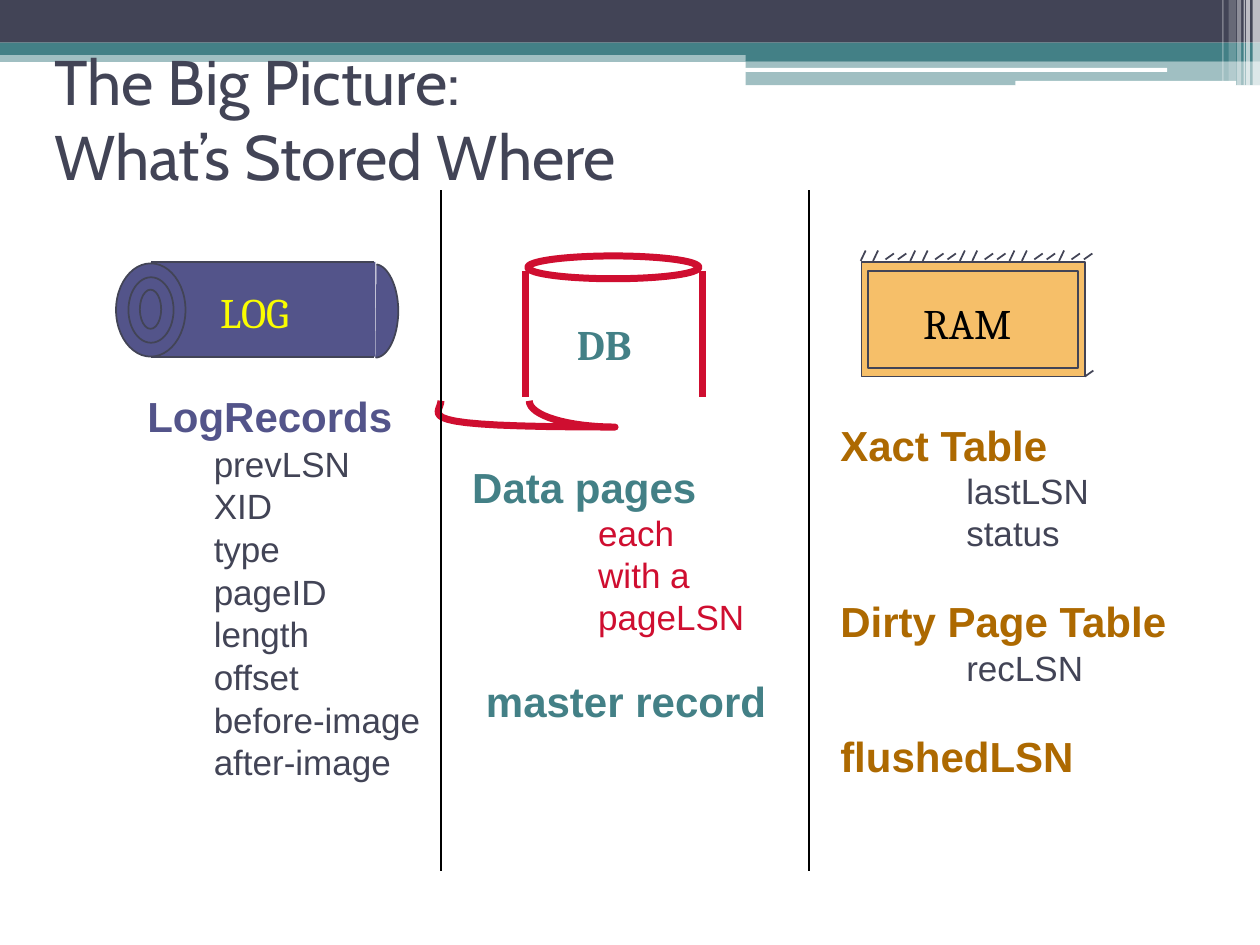
import lxml.etree
import pptx
import pptx.dml.color
import pptx.enum.shapes
import pptx.enum.text
import pptx.oxml.ns
import pptx.util

Cm = pptx.util.Cm
Pt = pptx.util.Pt
qn = pptx.oxml.ns.qn
MSO = pptx.enum.shapes.MSO_SHAPE
RECT, ROUND, OVAL = MSO.RECTANGLE, MSO.ROUNDED_RECTANGLE, MSO.OVAL
ANCHOR = pptx.enum.text.MSO_ANCHOR
ALIGN = pptx.enum.text.PP_ALIGN

INK, TEAL, WHITE, BLACK = "424456", "438086", "FFFFFF", "000000"
RED, PURPLE, BROWN, ORANGE, YELLOW = "CF0E30", "53548A", "AD6900", "F6BF69", "FAFD00"


def rgb(color):
    return pptx.dml.color.RGBColor.from_string(color)


def paint(sp, fill, line, width=1, alpha=100):
    sp.shadow.inherit = False
    if fill:
        sp.fill.solid()
        sp.fill.fore_color.rgb = rgb(fill)
        if alpha < 100:
            clr = sp.element.spPr.find(qn("a:solidFill")).find(qn("a:srgbClr"))
            lxml.etree.SubElement(clr, qn("a:alpha")).set("val", str(alpha * 1000))
    else:
        sp.fill.background()
    if line:
        sp.line.color.rgb = rgb(line)
        sp.line.width = Pt(width)
    else:
        sp.line.fill.background()


prs = pptx.Presentation()
prs.slide_width = Cm(25.4)
prs.slide_height = Cm(19.05)
s = prs.slides.add_slide(prs.slide_layouts[6])

# Header band: kind, left, top, width, height, fill, opacity
band = [
    (RECT, 0, 1.02, 25.4, 0.23, TEAL, 50),
    (RECT, 0, 0, 25.4, 0.86, INK, 100),
    (RECT, 0, 0.86, 25.4, 0.25, TEAL, 100),
    (RECT, 15.03, 0.99, 10.37, 0.24, TEAL, 100),
    (RECT, 15.03, 1.22, 10.37, 0.5, TEAL, 50),
    (ROUND, 15.02, 1.37, 8.51, 0.08, WHITE, 100),
    (ROUND, 20.47, 1.63, 4.45, 0.1, WHITE, 100),
    (RECT, 25.25, 0, 0.15, 1.73, WHITE, 65),
    (RECT, 25.12, 0, 0.08, 1.73, WHITE, 65),
    (RECT, 25.07, 0, 0.03, 1.73, WHITE, 60),
    (RECT, 24.94, 0, 0.08, 1.73, WHITE, 40),
    (RECT, 24.77, 0, 0.15, 1.63, WHITE, 20),
    (RECT, 24.64, 0, 0.03, 1.63, WHITE, 30),
]
for kind, x, y, w, h, fill, alpha in band:
    sp = s.shapes.add_shape(kind, Cm(x), Cm(y), Cm(w), Cm(h))
    paint(sp, fill, None, alpha=alpha)

# DB lid, RAM box and LOG cylinder: kind, left, top, width, height, fill, line, width
parts = [
    (OVAL, 10.64, 5.16, 3.45, 0.46, None, RED, 4),
    (RECT, 17.37, 5.28, 4.5, 2.31, ORANGE, INK, 1),
    (RECT, 17.5, 5.46, 4.24, 1.96, None, INK, 1),
    (RECT, 3.05, 5.28, 4.52, 1.91, PURPLE, None, 1),
    (OVAL, 2.34, 5.31, 1.4, 1.88, PURPLE, INK, 1),
    (OVAL, 2.59, 5.59, 0.91, 1.32, None, INK, 1),
    (OVAL, 2.82, 5.84, 0.43, 0.79, None, INK, 1),
]
for kind, x, y, w, h, fill, line, width in parts:
    sp = s.shapes.add_shape(kind, Cm(x), Cm(y), Cm(w), Cm(h))
    paint(sp, fill, line, width)

# Curves as Bezier chains: DB bottom and LOG right end
curves = [
    ([(8.89, 8.08), (8.89, 8.38), (8.1, 8.61), (12.4, 8.61),
      (11.46, 8.61), (10.67, 8.38), (10.67, 8.08)], None, RED, 4),
    ([(7.59, 5.33), (7.82, 5.36), (8.03, 5.77), (8.03, 6.27),
      (8.03, 6.78), (7.82, 7.21), (7.57, 7.21)], PURPLE, INK, 1),
]
STEPS = 16
for knots, fill, line, width in curves:
    points = []
    for k in range(0, len(knots) - 1, 3):
        for i in range(1, STEPS + 1):
            t = i / STEPS
            weights = ((1 - t) ** 3, 3 * t * (1 - t) ** 2, 3 * t * t * (1 - t), t ** 3)
            points.append(tuple(
                Cm(sum(c * knot[axis] for c, knot in zip(weights, knots[k:k + 4])))
                for axis in (0, 1)))
    fb = s.shapes.build_freeform(Cm(knots[0][0]), Cm(knots[0][1]))
    fb.add_line_segments(points, close=False)
    paint(fb.convert_to_shape(), fill, line, width)

# Lines: DB sides, LOG edges, column dividers, RAM hatching
lines = [
    (10.59, 5.46, 10.59, 8, RED, 4),
    (14.17, 5.46, 14.17, 8, RED, 4),
    (3.05, 5.28, 7.54, 5.28, INK, 1),
    (3.05, 7.19, 7.54, 7.19, INK, 1),
    (8.89, 3.84, 8.89, 17.55, BLACK, 1),
    (16.31, 3.84, 16.31, 17.55, BLACK, 1),
    (21.87, 7.59, 22.04, 7.47, INK, 1),
]
for i in range(19):
    x = 17.35 + 0.25 * i
    if i % 4 < 2 and i < 17:
        lines.append((x, 5.26, x + 0.1, 5.05, INK, 1))
    else:
        lines.append((x, 5.23, x + 0.17, 5.11, INK, 1))
for x1, y1, x2, y2, color, width in lines:
    sp = s.shapes.add_connector(
        pptx.enum.shapes.MSO_CONNECTOR.STRAIGHT, Cm(x1), Cm(y1), Cm(x2), Cm(y2))
    sp.line.color.rgb = rgb(color)
    sp.line.width = Pt(width)
    lxml.etree.SubElement(sp.element.spPr, qn("a:effectLst"))

# Text boxes: left, top, width, height, font, paragraphs
# Paragraph: text, size, colour, bold, indent, space before
texts = [
    (0.84, 0.84, 23.06, 3.07, "Cabin",
     [("The Big Picture:\nWhat’s Stored Where", 36, INK, False, 0, 0)]),
    (11.38, 6.3, 2, 1.27, "Cambria", [("DB", 24, TEAL, True, 0, 0)]),
    (18.36, 5.87, 2.7, 1.27, "Cambria", [("RAM", 24, BLACK, False, 0, 0)]),
    (4.19, 5.66, 2.6, 1.27, "Cambria", [("LOG", 24, YELLOW, False, 0, 0)]),
    (2.72, 7.75, 5.8, 1.27, "Arial", [("LogRecords", 24, PURPLE, True, 0, 0)]),
    (9.27, 9.17, 6.2, 3.81, "Arial", [
        ("Data pages", 24, TEAL, True, 0, 0),
        ("each", 20, RED, False, 2.54, 0),
        ("with a", 20, RED, False, 2.54, 0),
        ("pageLSN", 20, RED, False, 2.54, 0)]),
    (9.42, 13.49, 6.4, 1.27, "Arial", [("master record", 24, TEAL, True, 0, 0)]),
    (16.69, 8.33, 7.3, 8.53, "Arial", [
        ("Xact Table", 24, BROWN, True, 0, 0),
        ("lastLSN", 20, INK, False, 2.54, 0),
        ("status", 20, INK, False, 2.54, 0),
        ("Dirty Page Table", 24, BROWN, True, 0, 24),
        ("recLSN", 20, INK, False, 2.54, 0),
        ("flushedLSN", 24, BROWN, True, 0, 24)]),
]
fields = ["prevLSN", "XID", "type", "pageID", "length", "offset",
          "before-image", "after-image"]
for i, field in enumerate(fields):
    texts.append((4.06, 8.79 + 0.86 * i, 5, 1.09, "Arial",
                  [(field, 20, INK, False, 0, 0)]))

for x, y, w, h, font, paragraphs in texts:
    sp = s.shapes.add_textbox(Cm(x), Cm(y), Cm(w), Cm(h))
    tf = sp.text_frame
    tf.word_wrap = True
    tf.vertical_anchor = ANCHOR.MIDDLE if font == "Cabin" else ANCHOR.TOP
    for n, (text, size, color, bold, indent, before) in enumerate(paragraphs):
        p = tf.add_paragraph() if n else tf.paragraphs[0]
        p.alignment = ALIGN.CENTER if text == "master record" else ALIGN.LEFT
        p.space_before = Pt(before)
        if font == "Arial":
            p.line_spacing = Pt(size * 1.2)
        if indent:
            p._p.get_or_add_pPr().set("marL", str(Cm(indent)))
        for k, row in enumerate(text.split("\n")):
            if k:
                p.add_line_break()
            r = p.add_run()
            r.text = row
            r.font.name = font
            r.font.size = Pt(size)
            r.font.bold = bold
            r.font.color.rgb = rgb(color)

prs.save("out.pptx")
